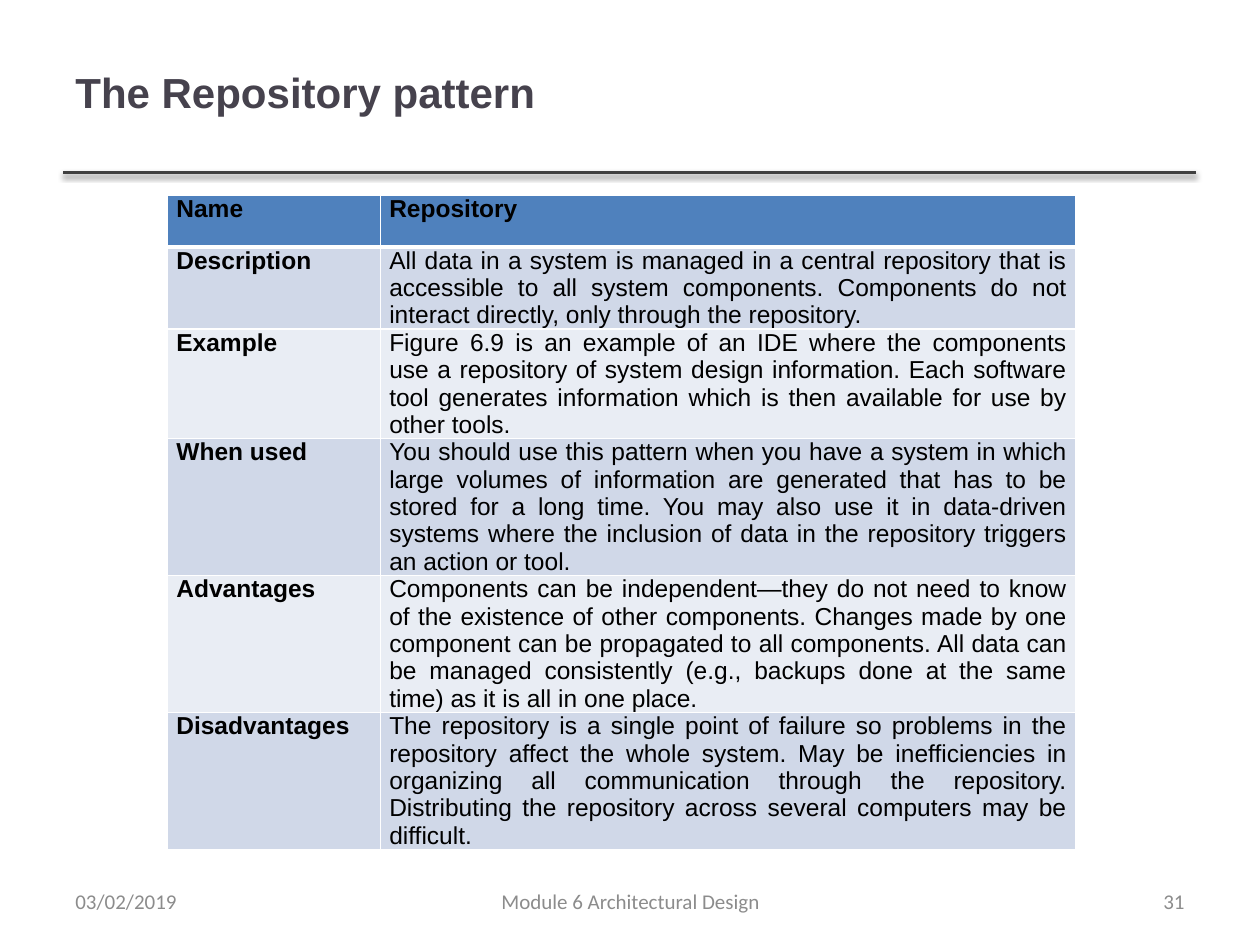
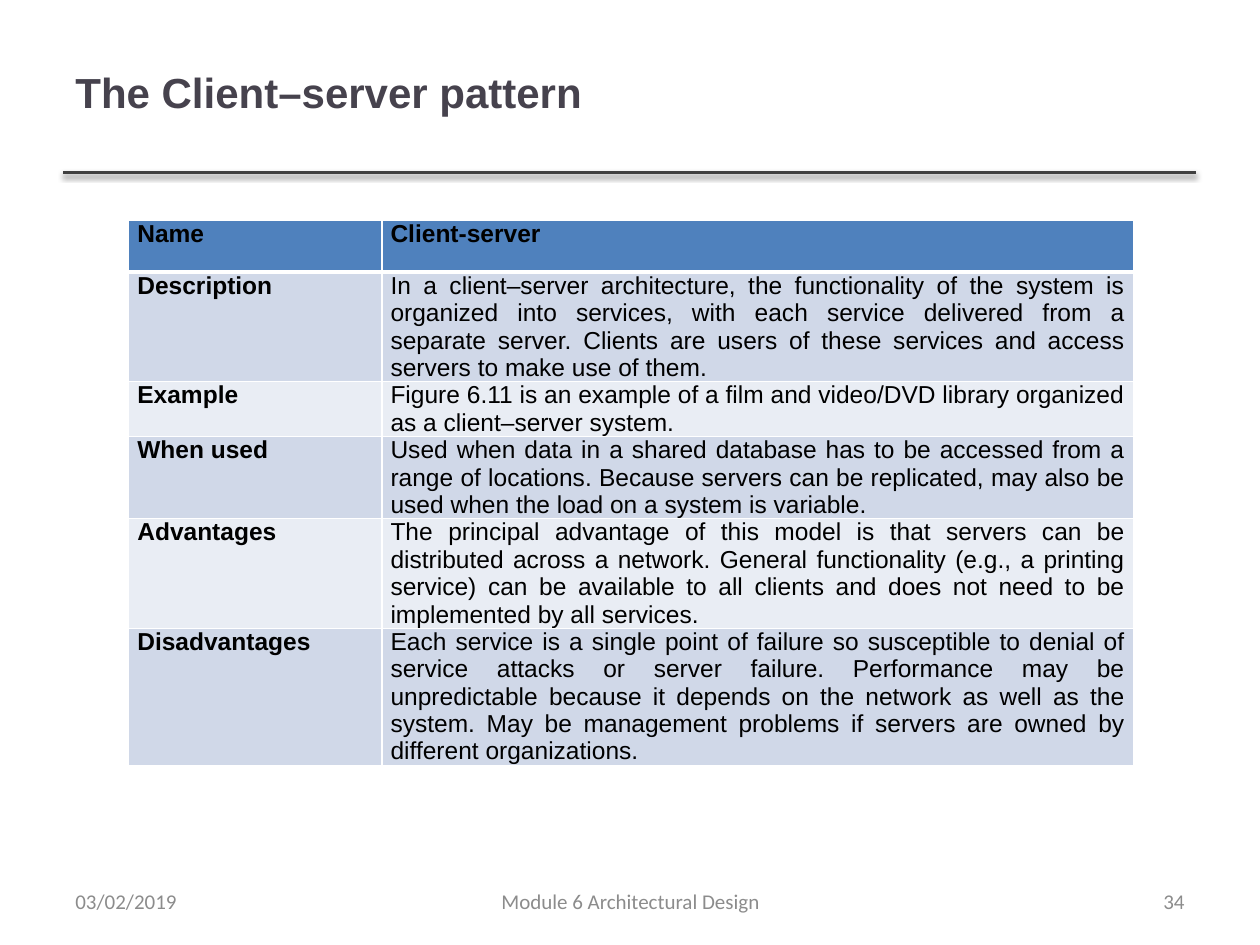
"""Build two slides that describe architectural patterns in tables."""
from dataclasses import dataclass

import pptx
import pptx.dml.color
import pptx.enum.shapes
import pptx.enum.text
import pptx.oxml
import pptx.oxml.ns
import pptx.presentation
import pptx.slide
import pptx.table
import pptx.text.text
import pptx.util

Inches = pptx.util.Inches
Align = pptx.enum.text.PP_ALIGN
Anchor = pptx.enum.text.MSO_ANCHOR
NS = pptx.oxml.ns.nsdecls("a")

COLORS = {
    "title": "46424D",
    "rule": "404040",
    "shade": "000000",
    "body": "000000",
    "head": "4F81BD",
    "odd": "D0D8E8",
    "even": "E9EDF4",
    "edge": "FFFFFF",
    "foot": "8C8C8C",
}
LABELS = ("Name", "Description", "Example", "When used", "Advantages", "Disadvantages")
ROW = 0.41
PITCH = 15.65


@dataclass(frozen=True)
class Box:
    left: float
    top: float
    width: float
    height: float


@dataclass(frozen=True)
class Pattern:
    title: str
    number: int
    box: Box
    split: float
    texts: tuple[str, ...]


TITLE = Box(0.5, 0.1, 7.98, 1.25)
DATE = Box(0.5, 6.95, 2.33, 0.4)
MODULE = Box(3.42, 6.95, 3.17, 0.4)
NUMBER = Box(7.17, 6.95, 2.33, 0.4)

PATTERNS = (
    Pattern("The Repository pattern", 31, Box(1.33, 1.55, 7.21, 5.54), 1.69, (
        "Repository",
        "All data in a system is managed in a central repository that is accessible to all "
        "system components. Components do not interact directly, only through the repository.",
        "Figure 6.9 is an example of an IDE where the components use a repository of system "
        "design information. Each software tool generates information which is then available "
        "for use by other tools.",
        "You should use this pattern when you have a system in which large volumes of "
        "information are generated that has to be stored for a long time. You may also use it "
        "in data-driven systems where the inclusion of data in the repository triggers an "
        "action or tool.",
        "Components can be independent—they do not need to know of the existence of other "
        "components. Changes made by one component can be propagated to all components. All "
        "data can be managed consistently (e.g., backups done at the same time) as it is all "
        "in one place.",
        "The repository is a single point of failure so problems in the repository affect the "
        "whole system. May be inefficiencies in organizing all communication through the "
        "repository. Distributing the repository across several computers may be difficult.",
    )),
    Pattern("The Client–server pattern", 34, Box(1.02, 1.75, 7.98, 4.61), 2.01, (
        "Client-server",
        "In a client–server architecture, the functionality of the system is organized into "
        "services, with each service delivered from a separate server. Clients are users of "
        "these services and access servers to make use of them.",
        "Figure 6.11 is an example of a film and video/DVD library organized as a "
        "client–server system.",
        "Used when data in a shared database has to be accessed from a range of locations. "
        "Because servers can be replicated, may also be used when the load on a system is "
        "variable.",
        "The principal advantage of this model is that servers can be distributed across a "
        "network. General functionality (e.g., a printing service) can be available to all "
        "clients and does not need to be implemented by all services.",
        "Each service is a single point of failure so susceptible to denial of service attacks "
        "or server failure. Performance may be unpredictable because it depends on the network "
        "as well as the system. May be management problems if servers are owned by different "
        "organizations.",
    )),
)


def tint(key: str) -> pptx.dml.color.RGBColor:
    """Return a named colour."""
    return pptx.dml.color.RGBColor.from_string(COLORS[key])


def write(frame: pptx.text.text.TextFrame, text: str, *, size: int, font: str, color: str,
          bold: bool = False, align: Align = Align.LEFT, pitch: float | None = None) -> None:
    """Put formatted text in a frame."""
    line = frame.paragraphs[0]
    line.alignment = align
    if pitch:
        line.line_spacing = pptx.util.Pt(pitch)
    run = line.add_run()
    run.text = text
    run.font.size = pptx.util.Pt(size)
    run.font.name = font
    run.font.bold = bold
    run.font.color.rgb = tint(color)


def add_text(slide: pptx.slide.Slide, box: Box, text: str, **style) -> None:
    """Add a text box centred on its height."""
    shape = slide.shapes.add_textbox(
        Inches(box.left), Inches(box.top), Inches(box.width), Inches(box.height))
    shape.text_frame.word_wrap = True
    shape.text_frame.vertical_anchor = Anchor.MIDDLE
    write(shape.text_frame, text, **style)


def add_rule(slide: pptx.slide.Slide) -> None:
    """Draw the shadowed rule below the title."""
    rule = slide.shapes.add_connector(
        pptx.enum.shapes.MSO_CONNECTOR.STRAIGHT,
        Inches(0.5), Inches(1.37), Inches(9.49), Inches(1.37))
    rule.line.color.rgb = tint("rule")
    rule.line.width = pptx.util.Pt(2)
    blur, gap = pptx.util.Pt(3.1), pptx.util.Pt(1.6)
    rule.element.spPr.append(pptx.oxml.parse_xml(
        f'<a:effectLst {NS}><a:outerShdw blurRad="{blur}" dist="{gap}" dir="5400000" '
        f'rotWithShape="0"><a:srgbClr val="{COLORS["shade"]}"><a:alpha val="38000"/>'
        '</a:srgbClr></a:outerShdw></a:effectLst>'))


def add_edges(cell: pptx.table._Cell, top: int, bottom: int) -> None:
    """Give a cell its four borders, with widths in points."""
    sides = {"L": 1, "R": 1, "T": top, "B": bottom}
    for place, (side, width) in enumerate(sides.items()):
        cell._tc.get_or_add_tcPr().insert(place, pptx.oxml.parse_xml(
            f'<a:ln{side} {NS} w="{pptx.util.Pt(width)}"><a:solidFill>'
            f'<a:srgbClr val="{COLORS["edge"]}"/></a:solidFill></a:ln{side}>'))


def add_grid(slide: pptx.slide.Slide, pattern: Pattern) -> None:
    """Add the table of a pattern."""
    box = pattern.box
    frame = slide.shapes.add_table(
        len(LABELS), 2, Inches(box.left), Inches(box.top),
        Inches(box.width), Inches(box.height))
    grid = frame.table
    grid.columns[0].width = Inches(pattern.split)
    grid.columns[1].width = Inches(box.width - pattern.split)
    for row, pair in enumerate(zip(LABELS, pattern.texts)):
        grid.rows[row].height = Inches(ROW)
        fill = "head" if row == 0 else "odd" if row % 2 else "even"
        for col, text in enumerate(pair):
            cell = grid.cell(row, col)
            cell.margin_left = cell.margin_right = Inches(0.07)
            cell.margin_top = cell.margin_bottom = 0
            cell.fill.solid()
            cell.fill.fore_color.rgb = tint(fill)
            add_edges(cell, top=3 if row == 1 else 1, bottom=3 if row == 0 else 1)
            write(cell.text_frame, text, size=14, font="Arial", color="body",
                  bold=row == 0 or col == 0, align=Align.JUSTIFY, pitch=PITCH)
    frame.height = Inches(box.height)


def add_foot(slide: pptx.slide.Slide, number: int) -> None:
    """Add the date, module name and slide number."""
    for box, text, align in (
        (MODULE, "Module 6 Architectural Design", Align.CENTER),
        (NUMBER, str(number), Align.RIGHT),
        (DATE, "03/02/2019", Align.LEFT),
    ):
        add_text(slide, box, text, size=12, font="Calibri", color="foot", align=align)


def add_slide(deck: pptx.presentation.Presentation, pattern: Pattern) -> None:
    """Add the slide of one pattern."""
    slide = deck.slides.add_slide(deck.slide_layouts[6])
    add_rule(slide)
    add_text(slide, TITLE, pattern.title, size=24, font="Arial", color="title", bold=True)
    add_grid(slide, pattern)
    add_foot(slide, pattern.number)


def main() -> None:
    """Build and save the deck."""
    deck = pptx.Presentation()
    deck.slide_width, deck.slide_height = Inches(10), Inches(7.5)
    for pattern in PATTERNS:
        add_slide(deck, pattern)
    deck.save("out.pptx")


if __name__ == "__main__":
    main()
